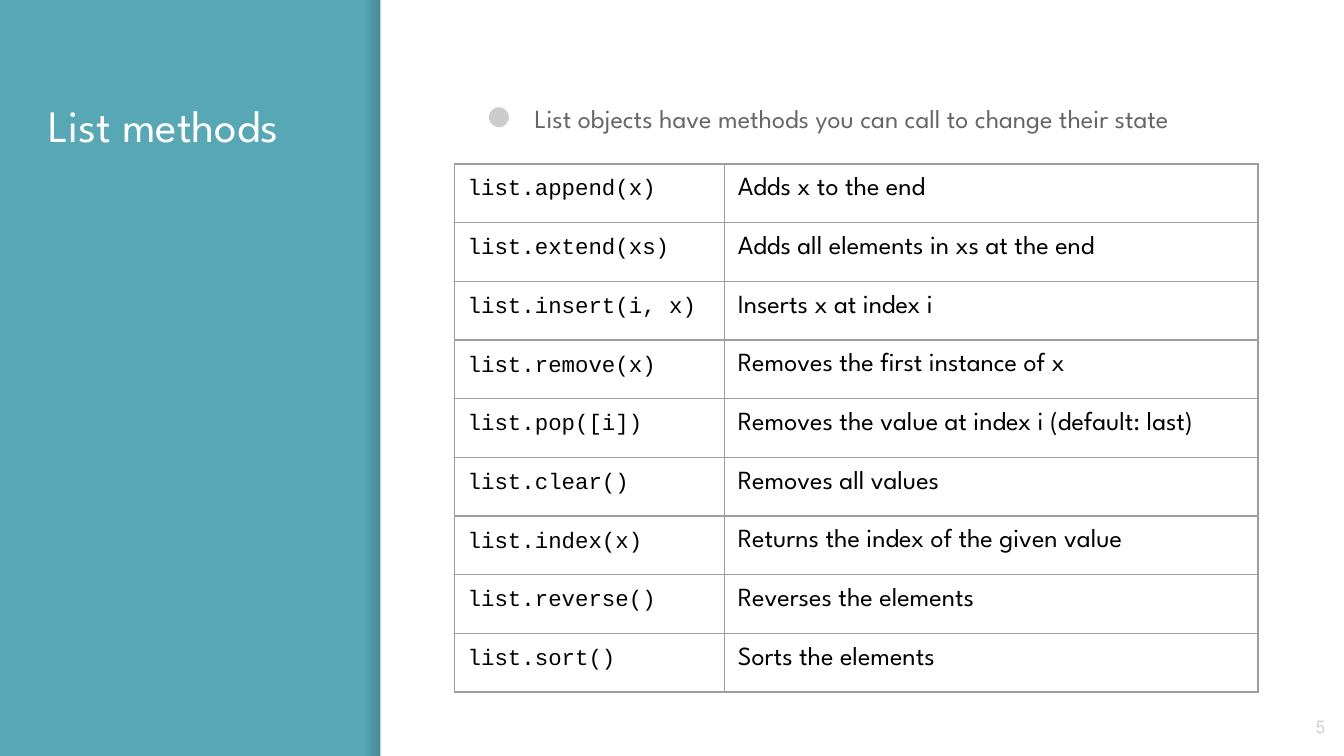
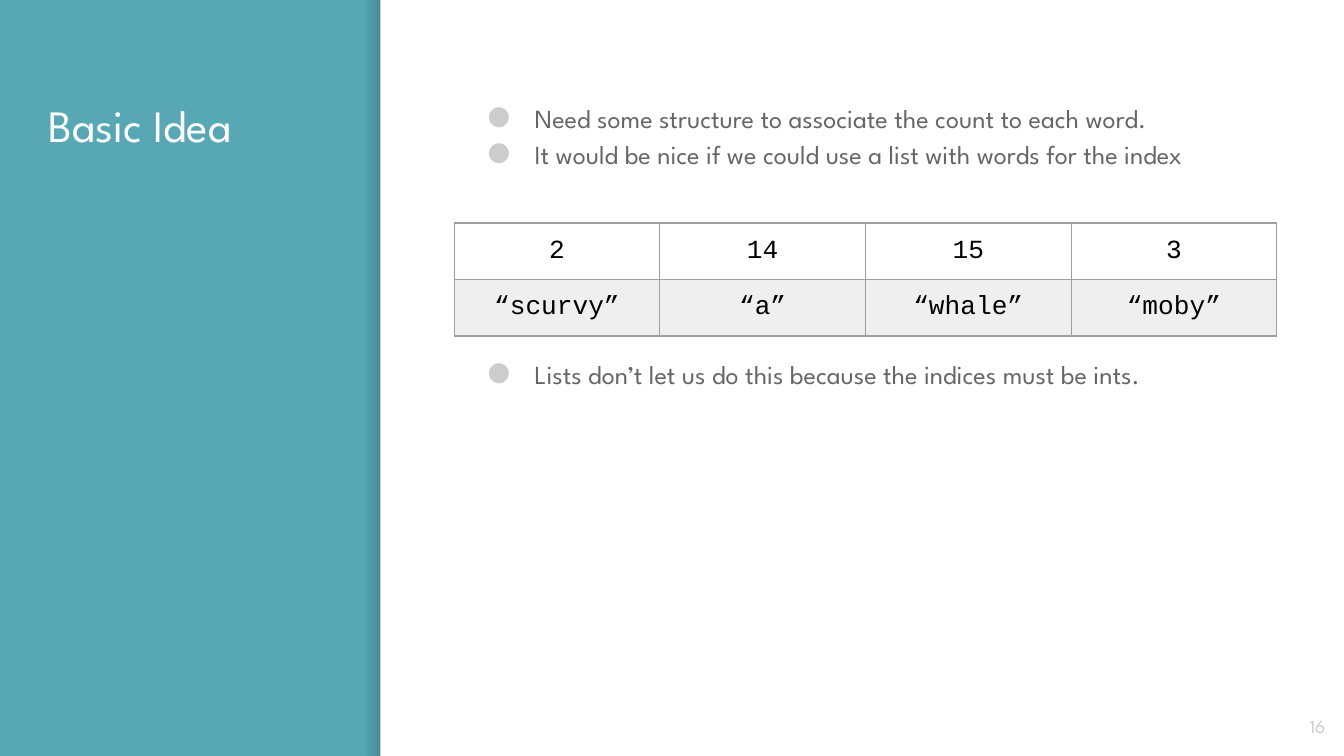
from dataclasses import dataclass

from lxml.etree import SubElement
from pptx import Presentation
from pptx.dml.color import RGBColor
from pptx.enum.shapes import MSO_SHAPE
from pptx.enum.text import MSO_ANCHOR, MSO_AUTO_SIZE, PP_ALIGN
from pptx.oxml.ns import qn
from pptx.presentation import Presentation as Deck
from pptx.shapes.autoshape import Shape
from pptx.slide import Slide
from pptx.table import _Cell as Cell
from pptx.text.text import TextFrame, _Paragraph as Paragraph
from pptx.util import Inches, Pt

TEAL = RGBColor(0x57, 0xA7, 0xB5)
WHITE = RGBColor(0xFF, 0xFF, 0xFF)
BLACK = RGBColor(0x00, 0x00, 0x00)
SHADE = RGBColor(0x00, 0x00, 0x14)
BODY_GRAY = RGBColor(0x66, 0x66, 0x66)
LIGHT_GRAY = RGBColor(0xCC, 0xCC, 0xCC)
BORDER_GRAY = RGBColor(0x9E, 0x9E, 0x9E)
KEY_FILL = RGBColor(0xEF, 0xEF, 0xEF)

SANS = "League Spartan"
MONO = "Courier New"

SLIDE_WIDTH = 10
SLIDE_HEIGHT = SLIDE_WIDTH * 9 / 16
PANEL_LEFT = 2.83
SHADE_WIDTH = 0.12
CONTENT_LEFT, CONTENT_WIDTH = 3.38, 6.12
CONTENT_TOP = 0.63


@dataclass(frozen=True)
class TextStyle:
    font: str
    size: float
    color: RGBColor
    alignment: PP_ALIGN = PP_ALIGN.LEFT


@dataclass(frozen=True)
class BulletBox:
    top: float
    height: float
    lines: tuple[str, ...]


@dataclass(frozen=True)
class Grid:
    top: float
    height: float
    column_widths: tuple[float, ...]
    column_styles: tuple[TextStyle, ...]
    rows: tuple[tuple[str, ...], ...]
    row_fills: tuple[RGBColor | None, ...]


@dataclass(frozen=True)
class Page:
    title: str
    number: int
    bullets: tuple[BulletBox, ...]
    grid: Grid


TITLE = TextStyle(SANS, 24, WHITE)
BODY = TextStyle(SANS, 14, BODY_GRAY)
NUMBER = TextStyle(SANS, 10, LIGHT_GRAY, PP_ALIGN.RIGHT)
METHOD = TextStyle(MONO, 12, BLACK)
MEANING = TextStyle(SANS, 14, BLACK)
COUNT = TextStyle(MONO, 14, BLACK, PP_ALIGN.CENTER)

METHODS = (
    ("list.append(x)", "Adds x to the end"),
    ("list.extend(xs)", "Adds all elements in xs at the end"),
    ("list.insert(i, x)", "Inserts x at index i"),
    ("list.remove(x)", "Removes the first instance of x"),
    ("list.pop([i])", "Removes the value at index i (default: last)"),
    ("list.clear()", "Removes all values"),
    ("list.index(x)", "Returns the index of the given value"),
    ("list.reverse()", "Reverses the elements"),
    ("list.sort()", "Sorts the elements"),
)
WORD_COUNTS = (
    ("2", "14", "15", "3"),
    ("“scurvy”", "“a”", "“whale”", "“moby”"),
)

PAGES = (
    Page(
        "List methods",
        5,
        (BulletBox(CONTENT_TOP, 4.35, (
            "List objects have methods you can call to change their state",
        )),),
        Grid(1.22, 3.93, (2.01, 3.97), (METHOD, MEANING),
             METHODS, (None,) * len(METHODS)),
    ),
    Page(
        "Basic Idea",
        16,
        (
            BulletBox(CONTENT_TOP, 1.89, (
                "Need some structure to associate the count to each word.",
                "It would be nice if we could use a list with words for the index",
            )),
            BulletBox(2.53, 2.19, (
                "Lists don’t let us do this because the indices must be ints.",
            )),
        ),
        Grid(1.66, 0.84, (CONTENT_WIDTH / 4,) * 4, (COUNT,) * 4,
             WORD_COUNTS, (None, KEY_FILL)),
    ),
)


def format_paragraph(paragraph: Paragraph, style: TextStyle) -> None:
    paragraph.alignment = style.alignment
    for run in paragraph.runs:
        run.font.name = style.font
        run.font.size = Pt(style.size)
        run.font.color.rgb = style.color


def set_margins(target: TextFrame | Cell) -> None:
    target.margin_left = target.margin_right = Inches(0.1)
    target.margin_top = target.margin_bottom = Inches(0.1)


def prepare_frame(frame: TextFrame, anchor: MSO_ANCHOR = MSO_ANCHOR.TOP) -> None:
    frame.word_wrap = True
    frame.auto_size = MSO_AUTO_SIZE.NONE
    frame.vertical_anchor = anchor
    set_margins(frame)


def add_band(slide: Slide, left: float, width: float) -> Shape:
    """Add a full-height rectangle without line or shadow."""
    band = slide.shapes.add_shape(
        MSO_SHAPE.RECTANGLE, Inches(left), 0, Inches(width), Inches(SLIDE_HEIGHT))
    band.shadow.inherit = False
    band.line.fill.background()
    return band


def add_panel(slide: Slide) -> None:
    """Add the white content panel and the soft shade along its left edge."""
    shade = add_band(slide, PANEL_LEFT - SHADE_WIDTH, SHADE_WIDTH)
    shade.fill.gradient()
    shade.fill.gradient_angle = 0
    for stop in shade.fill.gradient_stops:
        stop.color.rgb = SHADE
    colors = shade._element.spPr.iter(qn("a:srgbClr"))
    for color, opacity in zip(colors, (0, 20)):
        SubElement(color, qn("a:alpha")).set("val", str(opacity * 1000))

    panel = add_band(slide, PANEL_LEFT, SLIDE_WIDTH - PANEL_LEFT)
    panel.fill.solid()
    panel.fill.fore_color.rgb = WHITE


def set_title(slide: Slide, text: str) -> None:
    title = slide.shapes.title
    title.left, title.top = Inches(0.26), Inches(CONTENT_TOP)
    title.width, title.height = Inches(2.24), Inches(4.35)
    prepare_frame(title.text_frame)
    title.text_frame.text = text
    format_paragraph(title.text_frame.paragraphs[0], TITLE)


def add_bullet_mark(paragraph: Paragraph) -> None:
    properties = paragraph._p.get_or_add_pPr()
    properties.set("marL", str(Inches(0.5)))
    properties.set("indent", str(Inches(-0.35)))
    color = SubElement(properties, qn("a:buClr"))
    SubElement(color, qn("a:srgbClr")).set("val", str(LIGHT_GRAY))
    SubElement(properties, qn("a:buFont")).set("typeface", SANS)
    SubElement(properties, qn("a:buChar")).set("char", "●")


def add_bullets(slide: Slide, box: BulletBox) -> None:
    shape = slide.shapes.add_textbox(
        Inches(CONTENT_LEFT), Inches(box.top),
        Inches(CONTENT_WIDTH), Inches(box.height))
    frame = shape.text_frame
    prepare_frame(frame)
    frame.text = "\n".join(box.lines)
    for paragraph in frame.paragraphs:
        add_bullet_mark(paragraph)
        paragraph.line_spacing = 1.15
        format_paragraph(paragraph, BODY)


def add_number(slide: Slide, number: int) -> None:
    shape = slide.shapes.add_textbox(
        Inches(9.36), Inches(5.19), Inches(0.6), Inches(0.43))
    prepare_frame(shape.text_frame, MSO_ANCHOR.MIDDLE)
    shape.text_frame.text = str(number)
    format_paragraph(shape.text_frame.paragraphs[0], NUMBER)


def set_borders(cell: Cell) -> None:
    properties = cell._tc.get_or_add_tcPr()
    for side in ("lnL", "lnR", "lnT", "lnB"):
        line = SubElement(properties, qn(f"a:{side}"))
        line.set("w", str(Pt(0.75)))
        fill = SubElement(line, qn("a:solidFill"))
        SubElement(fill, qn("a:srgbClr")).set("val", str(BORDER_GRAY))


def format_cell(cell: Cell, text: str, style: TextStyle,
                fill: RGBColor | None) -> None:
    cell.text_frame.text = text
    format_paragraph(cell.text_frame.paragraphs[0], style)
    set_margins(cell)
    cell.vertical_anchor = MSO_ANCHOR.TOP
    set_borders(cell)
    if fill is None:
        cell.fill.background()
    else:
        cell.fill.solid()
        cell.fill.fore_color.rgb = fill


def add_grid(slide: Slide, grid: Grid) -> None:
    table = slide.shapes.add_table(
        len(grid.rows), len(grid.column_widths),
        Inches(CONTENT_LEFT), Inches(grid.top),
        Inches(sum(grid.column_widths)), Inches(grid.height)).table
    table.first_row = table.horz_banding = False
    for column, width in zip(table.columns, grid.column_widths):
        column.width = Inches(width)
    for row, texts, fill in zip(table.rows, grid.rows, grid.row_fills):
        for cell, text, style in zip(row.cells, texts, grid.column_styles):
            format_cell(cell, text, style, fill)


def add_page(presentation: Deck, page: Page) -> None:
    slide = presentation.slides.add_slide(presentation.slide_layouts[5])
    add_panel(slide)
    set_title(slide, page.title)
    for box in page.bullets:
        add_bullets(slide, box)
    add_number(slide, page.number)
    add_grid(slide, page.grid)


def main() -> None:
    presentation = Presentation()
    presentation.slide_width = Inches(SLIDE_WIDTH)
    presentation.slide_height = Inches(SLIDE_HEIGHT)
    background = presentation.slide_master.background.fill
    background.solid()
    background.fore_color.rgb = TEAL
    for page in PAGES:
        add_page(presentation, page)
    presentation.save("out.pptx")


if __name__ == "__main__":
    main()
